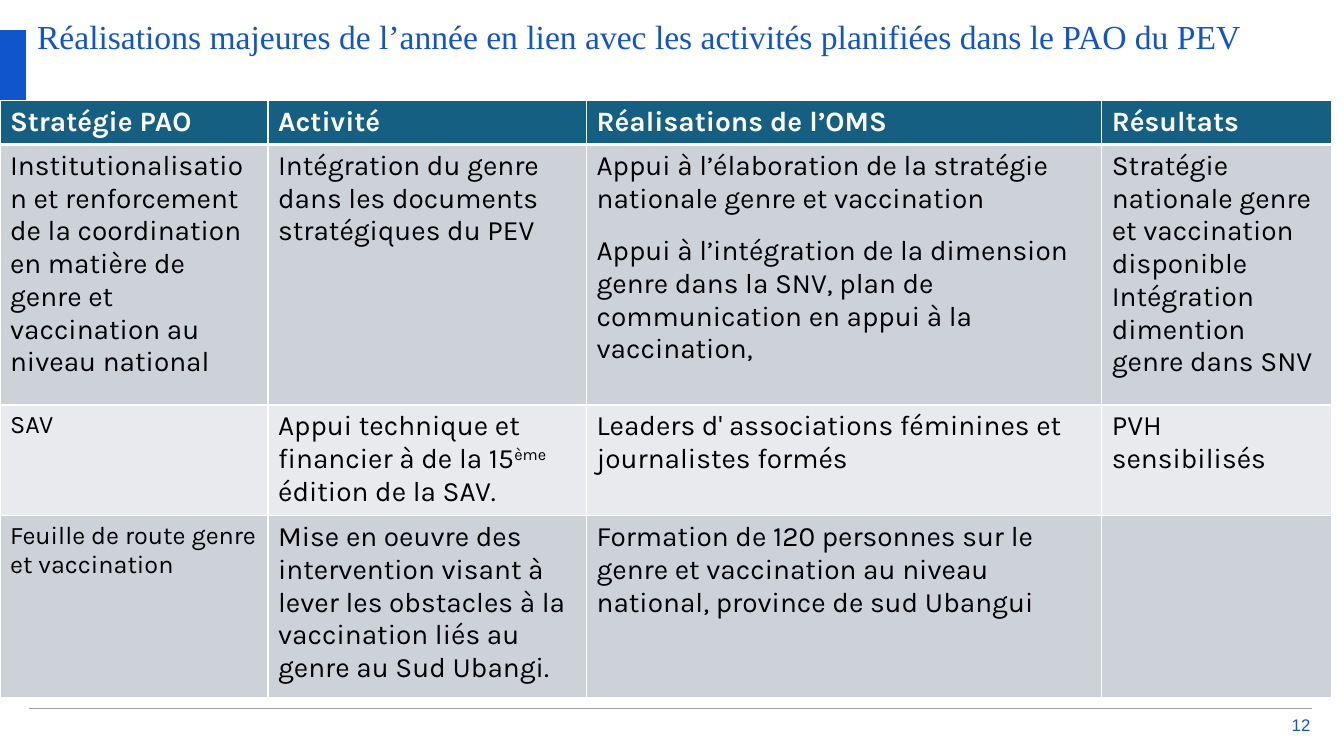
import pptx
import pptx.dml.color
import pptx.enum.shapes
import pptx.enum.text
import pptx.oxml
import pptx.oxml.ns
import pptx.util
from pptx.util import Pt

COLORS = {
    "blue": "1155CC",
    "header": "156082",
    "dark_band": "CCD2D8",
    "light_band": "E8EAED",
    "rule": "9E9E9E",
    "white": "FFFFFF",
    "black": "000000",
}
COLUMN_WIDTHS = [191.5, 227.5, 368, 164]
ROW_HEIGHTS = [31, 186, 77, 130]
ROWS = [
    ["Stratégie PAO", "Activité", "Réalisations de l’OMS", "Résultats"],
    [
        "Institutionalisation et renforcement de la coordination en matière de "
        "genre et vaccination au niveau national",
        "Intégration du genre dans les documents stratégiques du PEV",
        "Appui à l’élaboration de la stratégie nationale genre et vaccination\n"
        "Appui à l’intégration de la dimension genre dans la SNV, plan de "
        "communication en appui à la vaccination,",
        "Stratégie nationale genre et vaccination disponible\n"
        "Intégration dimention genre dans SNV",
    ],
    [
        "SAV",
        "Appui technique et financier à de la 15",
        "Leaders d' associations féminines et journalistes formés",
        "PVH sensibilisés",
    ],
    [
        "Feuille de route genre et vaccination",
        "Mise en oeuvre des intervention visant à lever les obstacles à la "
        "vaccination liés au genre au Sud Ubangi.",
        "Formation de 120 personnes sur le genre et vaccination au niveau "
        "national, province de sud Ubangui",
        "",
    ],
]


def color(name):
    return pptx.dml.color.RGBColor.from_string(COLORS[name])


def format_runs(text_frame, font_name, size, color_name, bold=False):
    for paragraph in text_frame.paragraphs:
        for run in paragraph.runs:
            run.font.name = font_name
            run.font.size = Pt(size)
            run.font.bold = bold
            run.font.color.rgb = color(color_name)


def clear_margins(text_frame):
    text_frame.margin_left = text_frame.margin_right = 0
    text_frame.margin_top = text_frame.margin_bottom = 0


def set_title(slide, text):
    title = slide.shapes.title
    title.left, title.top, title.width, title.height = Pt(26.5), Pt(11), Pt(888), Pt(48)
    frame = title.text_frame
    frame.text = text
    frame.word_wrap = True
    frame.auto_size = pptx.enum.text.MSO_AUTO_SIZE.NONE
    frame.vertical_anchor = pptx.enum.text.MSO_ANCHOR.TOP
    frame.paragraphs[0].alignment = pptx.enum.text.PP_ALIGN.LEFT
    clear_margins(frame)
    format_runs(frame, "Times New Roman", 24, "blue")


def add_accent_bar(slide):
    bar = slide.shapes.add_shape(
        pptx.enum.shapes.MSO_SHAPE.RECTANGLE, 0, Pt(21.5), Pt(18.5), Pt(52))
    bar.shadow.inherit = False
    bar.fill.solid()
    bar.fill.fore_color.rgb = color("blue")
    bar.line.fill.background()


def add_footer_rule(slide):
    rule = slide.shapes.add_connector(
        pptx.enum.shapes.MSO_CONNECTOR.STRAIGHT, Pt(21), Pt(506), Pt(937.5), Pt(506))
    rule.line.color.rgb = color("rule")
    rule.line.width = Pt(1)
    rule._element.spPr.append(pptx.oxml.parse_xml(
        f"<a:effectLst {pptx.oxml.ns.nsdecls('a')}/>"))


def add_page_number(slide, number):
    box = slide.shapes.add_textbox(Pt(918), Pt(511), Pt(18), Pt(13))
    frame = box.text_frame
    frame.text = number
    frame.word_wrap = True
    frame.vertical_anchor = pptx.enum.text.MSO_ANCHOR.MIDDLE
    frame.paragraphs[0].alignment = pptx.enum.text.PP_ALIGN.RIGHT
    clear_margins(frame)
    format_runs(frame, "Arial", 12, "blue")


def set_borders(cell, top, bottom):
    """Draw white borders, with the top and bottom widths given in points."""
    properties = cell._tc.get_or_add_tcPr()
    widths = {"lnL": 1, "lnR": 1, "lnT": top, "lnB": bottom}
    for position, (tag, width) in enumerate(widths.items()):
        properties.insert(position, pptx.oxml.parse_xml(
            f"<a:{tag} {pptx.oxml.ns.nsdecls('a')} w=\"{Pt(width)}\"><a:solidFill>"
            f"<a:srgbClr val=\"{COLORS['white']}\"/></a:solidFill></a:{tag}>"))


def add_ordinal(paragraph, suffix, rest):
    """Append a superscript suffix and the text that follows it."""
    superscript = paragraph.add_run()
    superscript.text = suffix
    superscript._r.get_or_add_rPr().set("baseline", "30000")
    paragraph.add_run().text = rest


def add_activity_table(slide):
    table = slide.shapes.add_table(
        len(ROWS), len(COLUMN_WIDTHS), 0, Pt(72),
        Pt(sum(COLUMN_WIDTHS)), Pt(sum(ROW_HEIGHTS))).table
    for column, width in zip(table.columns, COLUMN_WIDTHS):
        column.width = Pt(width)
    for row, height in zip(table.rows, ROW_HEIGHTS):
        row.height = Pt(height)

    for row_index, texts in enumerate(ROWS):
        is_header = row_index == 0
        band = "header" if is_header else ("light_band", "dark_band")[row_index % 2]
        for column_index, text in enumerate(texts):
            cell = table.cell(row_index, column_index)
            cell.text_frame.text = text
            if (row_index, column_index) == (2, 1):
                add_ordinal(cell.text_frame.paragraphs[0], "ème", " édition de la SAV.")
            size = 18 if column_index == 0 and row_index >= 2 else 20
            format_runs(cell.text_frame, "Karla", size,
                        "white" if is_header else "black", bold=is_header)
            cell.fill.solid()
            cell.fill.fore_color.rgb = color(band)
            set_borders(cell, top=3 if row_index == 1 else 1, bottom=3 if is_header else 1)
    table.cell(1, 2).text_frame.paragraphs[1].space_before = Pt(14)


def main():
    presentation = pptx.Presentation()
    presentation.slide_width, presentation.slide_height = Pt(960), Pt(540)
    slide = presentation.slides.add_slide(presentation.slide_layouts[5])
    set_title(slide, "Réalisations majeures de l’année en lien avec les activités "
                     "planifiées dans le PAO du PEV")
    add_accent_bar(slide)
    add_page_number(slide, "12")
    add_footer_rule(slide)
    add_activity_table(slide)
    presentation.save("out.pptx")


if __name__ == "__main__":
    main()
